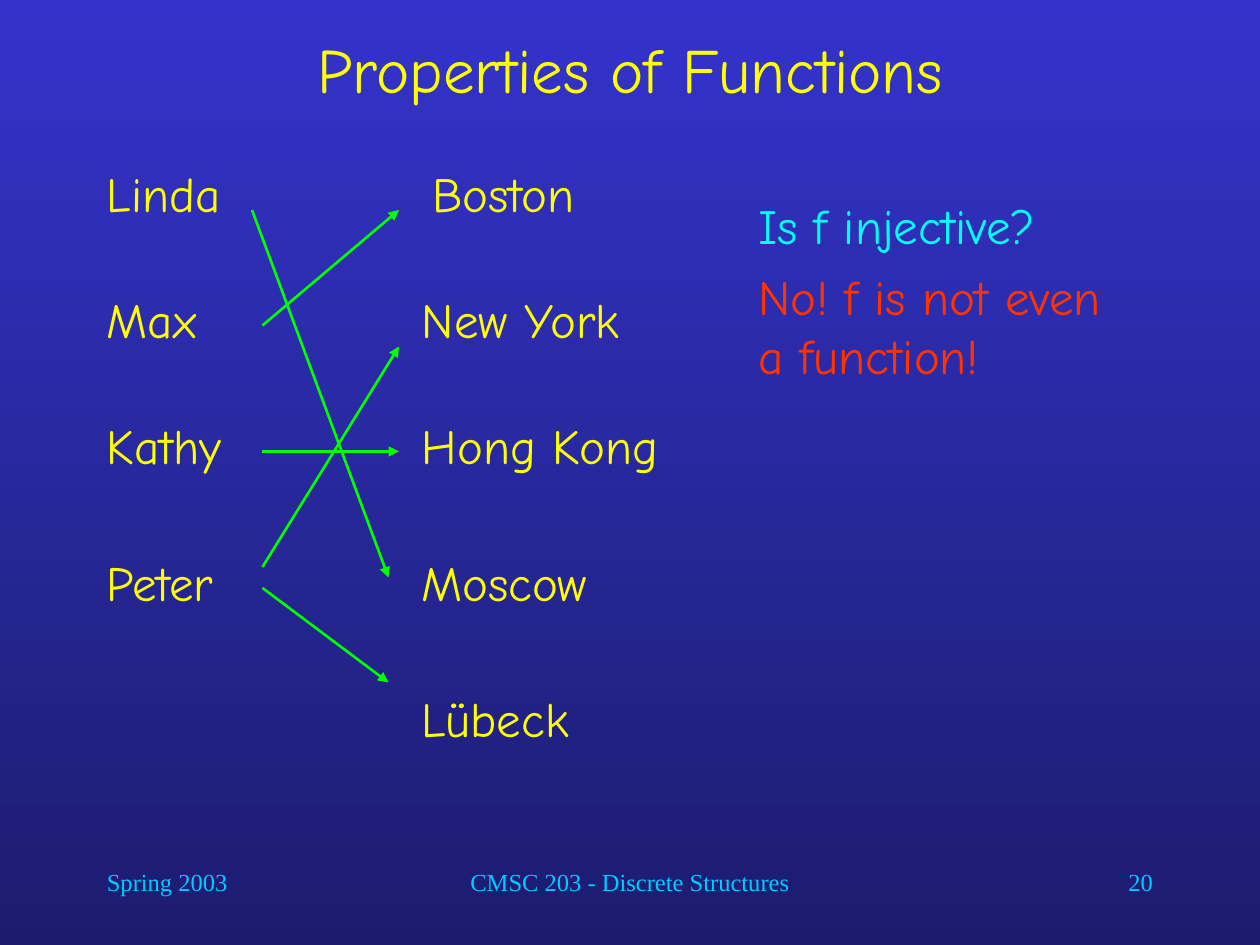
from lxml import etree
from pptx import Presentation
from pptx.dml.color import RGBColor
from pptx.enum.shapes import MSO_CONNECTOR
from pptx.enum.text import MSO_ANCHOR, MSO_AUTO_SIZE, PP_ALIGN
from pptx.oxml.ns import qn
from pptx.util import Pt

LEFT, MID, RIGHT = PP_ALIGN.LEFT, PP_ALIGN.CENTER, PP_ALIGN.RIGHT
TOP, CENTER = MSO_ANCHOR.TOP, MSO_ANCHOR.MIDDLE
FIXED, GROW = MSO_AUTO_SIZE.NONE, MSO_AUTO_SIZE.SHAPE_TO_FIT_TEXT
STRAIGHT = MSO_CONNECTOR.STRAIGHT

HUES = {"top": "3333CC", "base": "1C1C6F", "text": "FFFF00", "ask": "00FFFF",
        "reply": "FF3300", "foot": "00CCFF", "arrow": "00FF00"}
HAND, SERIF = "Comic Neue", "Times New Roman"


def color(name):
    return RGBColor.from_string(HUES[name])


def apply(item, values):
    for key, value in values.items():
        setattr(item, key, value)


class Board:
    """Holds the current slide and draws each kind of element on it."""

    def __init__(self, slide):
        self.slide = slide

    def shade(self):
        fill = self.slide.background.fill
        fill.gradient()
        fill.gradient_angle = 270
        for stop, name, place in zip(fill.gradient_stops, ("top", "base"), (0, 1)):
            stop.position = place
            stop.color.rgb = color(name)

    def place(self, shape, box):
        apply(shape, dict(zip(("left", "top", "width", "height"), map(Pt, box))))

    def style(self, para, text, hue, size=28, font=HAND, align=LEFT, before=0):
        para.text = text
        apply(para, {"alignment": align, "space_before": Pt(before)})
        for run in para.runs:
            apply(run.font, {"name": font, "size": Pt(size)})
            run.font.color.rgb = color(hue)

    def title(self, text, box):
        shape = self.slide.shapes.title
        self.place(shape, box)
        apply(shape.text_frame, {"vertical_anchor": CENTER, "auto_size": FIXED})
        self.style(shape.text_frame.paragraphs[0], text, "text", 36, align=MID)

    def body(self, items, box):
        shape = self.slide.placeholders[1]
        self.place(shape, box)
        frame = shape.text_frame
        apply(frame, {"vertical_anchor": TOP, "auto_size": FIXED})
        for i, (text, hue) in enumerate(items):
            para = frame.add_paragraph() if i else frame.paragraphs[0]
            self.style(para, text, hue, before=7)
            props = para._p.get_or_add_pPr()
            props.set("marL", "0")
            props.set("indent", "0")
            etree.SubElement(props, qn("a:buNone"))

    def label(self, text, box, hue="text", fit=GROW, **look):
        shape = self.slide.shapes.add_textbox(*map(Pt, box))
        apply(shape.text_frame, {"word_wrap": True, "auto_size": fit})
        self.style(shape.text_frame.paragraphs[0], text, hue, **look)

    def arrow(self, start, end):
        link = self.slide.shapes.add_connector(STRAIGHT, *map(Pt, start + end))
        link.line.width = Pt(1.5)
        link.line.color.rgb = color("arrow")
        head = etree.SubElement(link.line._get_or_add_ln(), qn("a:tailEnd"))
        head.set("type", "triangle")
        etree.SubElement(link._element.spPr, qn("a:effectLst"))


def main():
    deck = Presentation()
    apply(deck, {"slide_width": Pt(720), "slide_height": Pt(540)})
    board = Board(deck.slides.add_slide(deck.slide_layouts[1]))
    board.shade()

    feet = [("Spring 2003", 54, 150, LEFT),
            ("CMSC 203 - Discrete Structures", 204, 312, MID),
            ("20", 516, 150, RIGHT)]
    for text, left, width, align in feet:
        board.label(text, (left, 492, width, 36), "foot", FIXED,
                    size=14, font=SERIF, align=align)

    board.title("Properties of Functions", (54, 12, 612, 54))
    board.body([("Is f injective?", "ask"),
                ("No! f is not even\va function!", "reply")],
               (426, 108, 264, 342))

    rows = (90, 162, 234, 312, 390)
    people = ("Linda", "Max", "Kathy", "Peter")
    towns = [("Boston", 240, 144), ("New York", 234, 144),
             ("Hong Kong", 234, 162), ("Moscow", 234, 144),
             ("Lübeck", 234, 144)]
    for name, top in zip(people, rows):
        board.label(name, (54, top, 144, 41), before=17.5)
    for (name, left, width), top in zip(towns, rows):
        board.label(name, (left, top, width, 41), before=17.5)

    arrows = [((144, 120), (222, 330)),
              ((150, 186), (228, 120)),
              ((150, 258), (228, 258)),
              ((150, 336), (222, 390)),
              ((150, 324), (228, 198))]
    for start, end in arrows:
        board.arrow(start, end)

    deck.save("out.pptx")


if __name__ == "__main__":
    main()
